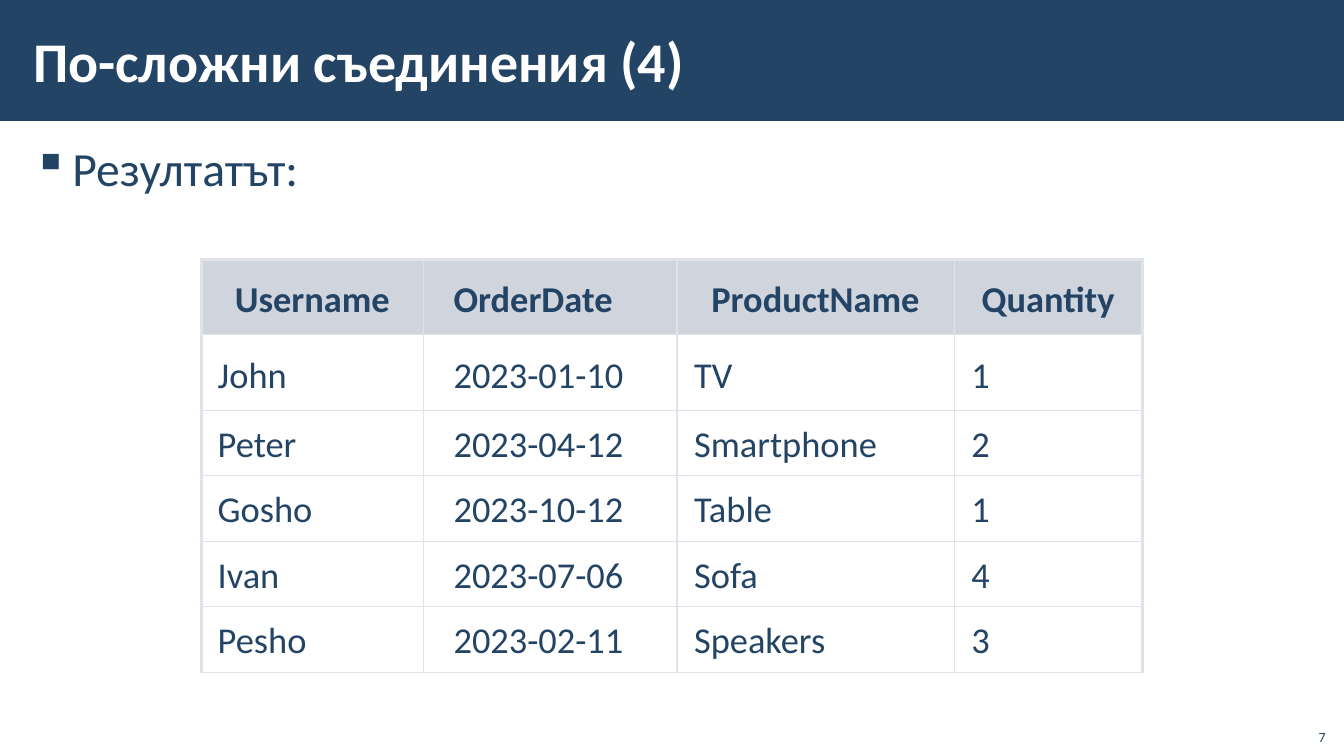
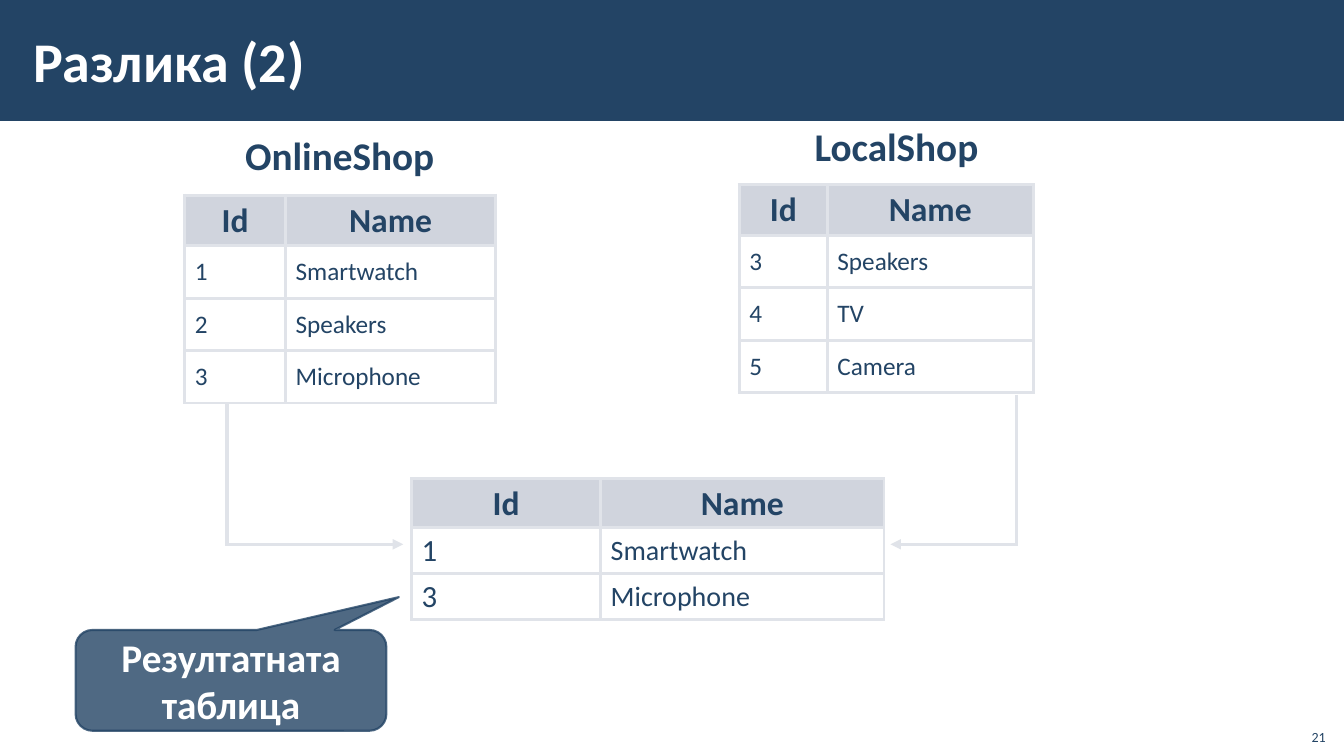
from lxml import etree
from pptx import Presentation
from pptx.dml.color import RGBColor
from pptx.enum.shapes import MSO_CONNECTOR, MSO_SHAPE
from pptx.enum.text import MSO_ANCHOR, MSO_AUTO_SIZE, PP_ALIGN
from pptx.oxml.ns import qn
from pptx.util import Inches, Pt

NAVY = RGBColor(0x23, 0x44, 0x65)
WHITE = RGBColor(0xFF, 0xFF, 0xFF)
MIST = RGBColor(0xD0, 0xD4, 0xDC)
STEEL = RGBColor(0xA3, 0xAB, 0xBC)
PALE = RGBColor(0xDF, 0xE2, 0xE9)
EDGE = RGBColor(0xE0, 0xE3, 0xE9)

FONT = "Calibri"
WIDE, HIGH = Inches(13.33), Inches(7.5)
COLS, ROWS = 160, 90
LEFT, MID, RIGHT = PP_ALIGN.LEFT, PP_ALIGN.CENTER, PP_ALIGN.RIGHT
TOP, CENTRE, BASE = MSO_ANCHOR.TOP, MSO_ANCHOR.MIDDLE, MSO_ANCHOR.BOTTOM
FIXED = MSO_AUTO_SIZE.NONE
LINE = MSO_CONNECTOR.STRAIGHT
RECT, CALL = MSO_SHAPE.RECTANGLE, MSO_SHAPE.ROUNDED_RECTANGULAR_CALLOUT
SIDES = ("margin_left", "margin_top", "margin_right", "margin_bottom")
INSET = (0.1, 0.05, 0.1, 0.05)
FRAME = (0.12, 0.04, 0.12, 0.04)


def across(cols):
    return round(WIDE * cols / COLS)


def down(rows):
    return round(HIGH * rows / ROWS)


def grid(x, y, w, h):
    return across(x), down(y), across(w), down(h)


def assign(item, values):
    for name, value in values.items():
        setattr(item, name, value)


def pad(item, inset):
    assign(item, dict(zip(SIDES, map(Inches, inset))))


def style(para, size, color=NAVY, bold=False, align=LEFT):
    para.alignment = align
    assign(para.font, {"name": FONT, "size": Pt(size), "bold": bold})
    para.font.color.rgb = color


def fade(format_, share):
    for color in format_.iter(qn("a:srgbClr")):
        etree.SubElement(color, qn("a:alpha"), val=str(share * 1000))


def write(shape, text, size, inset=INSET, anchor=TOP, wrap=True, **look):
    frame = shape.text_frame
    assign(frame, {"text": text, "word_wrap": wrap, "auto_size": FIXED,
                   "vertical_anchor": anchor})
    pad(frame, inset)
    style(frame.paragraphs[0], size, **look)
    return frame.paragraphs[0]


def label(slide, place, text, size, **look):
    return write(slide.shapes.add_textbox(*grid(*place)), text, size, **look)


def bullet(slide, place, text):
    para = label(slide, place, text, 34, inset=FRAME)
    props = para._p.get_or_add_pPr()
    props.set("marL", str(Inches(0.39)))
    props.set("indent", str(-Inches(0.39)))
    etree.SubElement(props, qn("a:buChar"), char="▪")
    assign(para, {"line_spacing": 1.05, "space_after": Pt(6)})
    style(para, 34)


def solid(slide, kind, place, color):
    shape = slide.shapes.add_shape(kind, *grid(*place))
    shape.shadow.inherit = False
    shape.fill.solid()
    shape.fill.fore_color.rgb = color
    return shape


def border(cell, color, widths):
    props = cell._tc.get_or_add_tcPr()
    for side, width in zip("LRTB", widths):
        line = etree.SubElement(props, qn(f"a:ln{side}"), w=str(Pt(width)))
        fill = etree.SubElement(line, qn("a:solidFill"))
        etree.SubElement(fill, qn("a:srgbClr"), val=str(color))


def paint(cell, color, share=100):
    cell.fill.solid()
    cell.fill.fore_color.rgb = color
    if share < 100:
        fade(cell._tc.tcPr.find(qn("a:solidFill")), share)


def put(cell, text, size, inset, **look):
    cell.text = text
    cell.vertical_anchor = CENTRE
    pad(cell, inset)
    para = cell.text_frame.paragraphs[0]
    style(para, size, **look)
    return para


def table(slide, x, y, cols, rows, data):
    place = grid(x, y, sum(cols), sum(rows))
    made = slide.shapes.add_table(len(rows), len(cols), *place).table
    made.horz_banding = False
    for col, width in zip(made.columns, cols):
        col.width = across(width)
    for row, height in zip(made.rows, rows):
        row.height = down(height)
    for r, line in enumerate(data):
        for c, text in enumerate(line):
            yield made.cell(r, c), r, c, text


def orders(slide, x, y, cols, rows, data):
    last = len(cols) - 1
    starts = (0.16, 0.3, 0.17, 0.17)
    for cell, r, c, text in table(slide, x, y, cols, rows, data):
        edges = (c == 0, c == last, r == 0, False)
        border(cell, PALE, [2.25 if outer else 1 for outer in edges])
        paint(cell, WHITE if r else MIST)
        middle = r == 0 and c != 1
        inset = (0 if middle else starts[c], 0.03 if r > 1 else 0.06, 0, 0)
        put(cell, text, 26, inset, bold=r == 0, align=MID if middle else LEFT)


def goods(slide, x, y, cols, rows, data, sizes, space=1):
    for cell, r, c, text in table(slide, x, y, cols, rows, data):
        border(cell, EDGE, [2.25] * 4)
        if r:
            paint(cell, WHITE)
            para = put(cell, text, sizes[c], INSET)
            para.line_spacing = space
        else:
            paint(cell, STEEL, 50)
            para = put(cell, text, 24, INSET, bold=True, align=MID)
            para.line_spacing = 0.95


def rule(slide, x1, y1, x2, y2, arrow=False):
    line = slide.shapes.add_connector(
        LINE, across(x1), down(y1), across(x2), down(y2))
    line.line.width = Pt(2.5)
    line.line.color.rgb = EDGE
    if arrow:
        etree.SubElement(line.line._ln, qn("a:tailEnd"), type="triangle")
    etree.SubElement(line._element.spPr, qn("a:effectLst"))


def elbow(slide, x, top, turn, end):
    rule(slide, x, top, x, turn + 0.2)
    rule(slide, x, turn, end, turn, arrow=True)


def callout(slide, place, text):
    shape = solid(slide, CALL, place, NAVY)
    for i, value in enumerate((0.54, -0.826, 0.167)):
        shape.adjustments[i] = value
    shape.line.width = Pt(1.5)
    shape.line.color.rgb = NAVY
    fade(shape._element.spPr, 80)
    write(shape, text, 28, anchor=CENTRE, color=WHITE, bold=True, align=MID)


def page(deck, title, number):
    slide = deck.slides.add_slide(deck.slide_layouts[5])
    head = slide.shapes.title
    places = grid(2.5, 1.3, 134.8, 11.7)
    assign(head, dict(zip(("left", "top", "width", "height"), places)))
    write(head, title, 40, inset=FRAME, anchor=CENTRE, color=WHITE, bold=True)
    label(slide, (154.2, 85.4, 4.8, 3.9), number, 10, anchor=BASE, align=RIGHT)
    return slide


def share_band(deck, slide):
    band = solid(slide, RECT, (0, 0, COLS, 14.4), NAVY)
    band.line.fill.background()
    deck.slide_layouts[5].shapes.element.insert(2, band.element)


def joins(deck):
    slide = page(deck, "По-сложни съединения (4)", "7")
    share_band(deck, slide)
    bullet(slide, (2.5, 15.7, 155, 72.6), "Резултатът:")
    orders(slide, 24, 30.85, (26.4, 30.2, 33, 22.4), [9] * 2 + [7.8] * 4, (
        ("Username", "OrderDate", "ProductName", "Quantity"),
        ("John", "2023-01-10", "TV", "1"),
        ("Peter", "2023-04-12", "Smartphone", "2"),
        ("Gosho", "2023-10-12", "Table", "1"),
        ("Ivan", "2023-07-06", "Sofa", "4"),
        ("Pesho", "2023-02-11", "Speakers", "3"),
    ))


def minus(deck):
    slide = page(deck, "Разлика (2)", "21")
    head = ("Id", "Name")
    rows = [6] + [6.25] * 3
    shops = (
        ("OnlineShop", (28, 15, 25.2, 6.8), 22, 23.25, (12, 25),
         (("1", "Smartwatch"), ("2", "Speakers"), ("3", "Microphone"))),
        ("LocalShop", (95.8, 14, 22.2, 6.8), 88, 22, (10.5, 24.5),
         (("3", "Speakers"), ("4", "TV"), ("5", "Camera"))),
    )
    for name, place, x, y, cols, items in shops:
        label(slide, place, name, 28, wrap=False, bold=True)
        goods(slide, x, y, cols, rows, (head, *items), (18, 18))
    elbow(slide, 27, 48, 64.8, 48)
    elbow(slide, 121, 47, 64.8, 106)
    goods(slide, 49, 57, (22.5, 33.75), (5.8, 5.4, 5.4),
          (head, ("1", "Smartwatch"), ("3", "Microphone")), (22, 20), 0.95)
    callout(slide, (9, 75, 37, 12), "Резултатната таблица")


def main():
    deck = Presentation()
    assign(deck, {"slide_width": WIDE, "slide_height": HIGH})
    joins(deck)
    minus(deck)
    deck.save("out.pptx")


if __name__ == "__main__":
    main()
